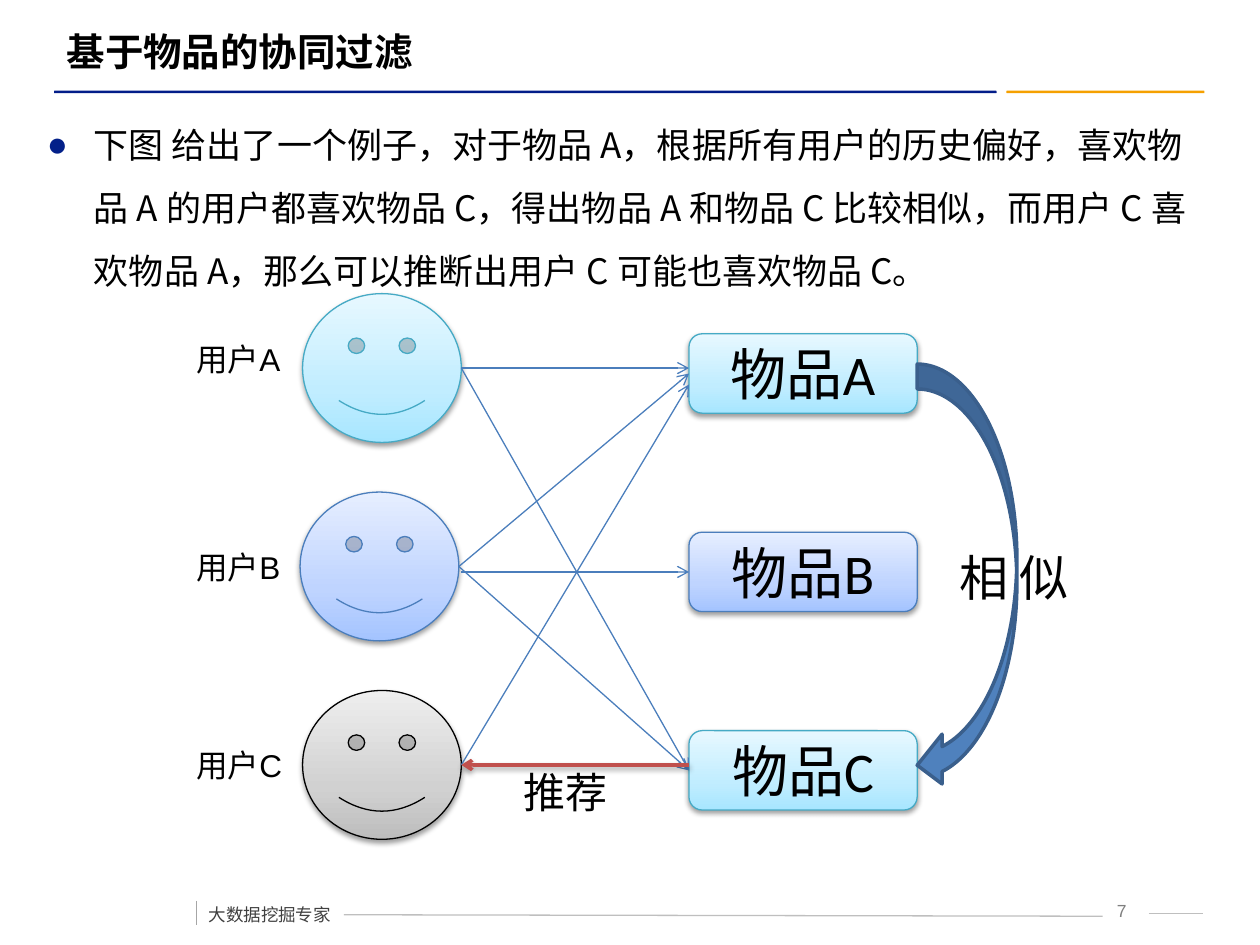
import lxml.etree
import pptx
import pptx.dml.color
import pptx.enum.shapes
import pptx.enum.text
import pptx.oxml.ns
import pptx.util

Cm = pptx.util.Cm
Pt = pptx.util.Pt
qn = pptx.oxml.ns.qn
SHAPES = pptx.enum.shapes.MSO_SHAPE
ALIGN = pptx.enum.text.PP_ALIGN
ANCHOR = pptx.enum.text.MSO_ANCHOR
AUTO_SIZE = pptx.enum.text.MSO_AUTO_SIZE

CJK_FONT = "Noto Sans CJK SC"
COLOURS = {
    "text": "000000", "footer": "404040", "number": "7F7F7F",
    "navy": "031D89", "orange": "F5A000", "bullet": "032089",
    "rule": "BFBFBF", "divider": "A6A6A6",
    "link": "4B7EBC", "recommend": "C0504D",
    "arrow": "4F81BD", "arrow_edge": "3A5F8C",
}
# Gradient stops from bottom to top, then the outline
STYLES = {
    "cyan": (("A7E6FF", "C1EDFF", "E7F8FF"), "46AAC5"),
    "blue": (("A4C4FF", "BFD4FF", "E6EEFF"), "4B7EBC"),
    "grey": (("BDBDBD", "D1D1D1", "EEEEEE"), "000000"),
}
STOP_POSITIONS = (0, 35000, 100000)
ROW_PITCH = 4.0
ITEM_LEFT, ITEM_TOP, ITEM_WIDTH, ITEM_HEIGHT = 13.89, 6.73, 4.6, 1.6
FACE_TOP, FACE_WIDTH, FACE_HEIGHT = 5.92, 3.2, 3.0


def rgb(hex_string):
    return pptx.dml.color.RGBColor.from_string(hex_string)


def add_element(parent, tag, **attributes):
    child = lxml.etree.SubElement(parent, qn(tag))
    for name, value in attributes.items():
        child.set(name, str(value))
    return child


def add_colour(parent, hex_string):
    return add_element(parent, "a:srgbClr", val=hex_string)


def format_text(paragraph, size, colour="text", font="Arial", bold=False):
    for run in paragraph.runs:
        run.font.size = Pt(size)
        run.font.name = font
        run.font.bold = bold
        run.font.color.rgb = rgb(COLOURS[colour])
        add_element(run.font._element, "a:ea", typeface=CJK_FONT)


def place(shape, left, top, width, height):
    shape.left, shape.top = Cm(left), Cm(top)
    shape.width, shape.height = Cm(width), Cm(height)


def add_shadow(effect_list):
    shadow = add_element(effect_list, "a:outerShdw", blurRad=40000, dist=20000,
                         dir=5400000, rotWithShape=0)
    add_element(add_colour(shadow, "000000"), "a:alpha", val=38000)


def add_plain_shape(slide, kind, box, fill, line=None, width=0.75):
    shape = slide.shapes.add_shape(kind, *map(Cm, box))
    shape.shadow.inherit = False
    shape.fill.solid()
    shape.fill.fore_color.rgb = rgb(fill)
    if line:
        shape.line.color.rgb = rgb(line)
        shape.line.width = Pt(width)
    else:
        shape.line.fill.background()
    return shape


def add_glossy_shape(slide, kind, box, style):
    """Add a shape with a three-stop upward gradient and a soft shadow."""
    stops, outline = STYLES[style]
    shape = add_plain_shape(slide, kind, box, stops[0], outline)
    shape.fill.gradient()
    shape.fill.gradient_angle = 90
    properties = shape.element.spPr
    stop_list = properties.find(qn("a:gradFill")).find(qn("a:gsLst"))
    for stop in list(stop_list):
        stop_list.remove(stop)
    for position, colour in zip(STOP_POSITIONS, stops):
        add_colour(add_element(stop_list, "a:gs", pos=position), colour)
    add_shadow(properties.find(qn("a:effectLst")))
    return shape


def add_item(slide, row, name, style):
    box = (ITEM_LEFT, ITEM_TOP + row * ROW_PITCH, ITEM_WIDTH, ITEM_HEIGHT)
    item = add_glossy_shape(slide, SHAPES.ROUNDED_RECTANGLE, box, style)
    item.text_frame.text = name
    item.text_frame.vertical_anchor = ANCHOR.MIDDLE
    paragraph = item.text_frame.paragraphs[0]
    paragraph.alignment = ALIGN.CENTER
    format_text(paragraph, 32, font="Calibri")
    return item


def add_label(slide, text, box, size, colour="text", font="Arial", wrap=True):
    label = slide.shapes.add_textbox(*map(Cm, box))
    label.text_frame.word_wrap = wrap
    label.text_frame.auto_size = AUTO_SIZE.SHAPE_TO_FIT_TEXT
    label.text_frame.text = text
    paragraph = label.text_frame.paragraphs[0]
    format_text(paragraph, size, colour, font)
    return paragraph


def add_line(slide, start, end, colour, width=0.75, arrow=False, shadow=False):
    line = slide.shapes.add_connector(
        pptx.enum.shapes.MSO_CONNECTOR.STRAIGHT, *map(Cm, start + end))
    line.line.color.rgb = rgb(COLOURS[colour])
    line.line.width = Pt(width)
    properties = line.element.spPr
    if arrow:
        add_element(properties.find(qn("a:ln")), "a:tailEnd", type="arrow")
    effect_list = add_element(properties, "a:effectLst")
    if shadow:
        add_shadow(effect_list)
    return line


def fill_title(slide):
    title = slide.shapes.title
    place(title, 1.09, 0.43, 23.11, 1.19)
    title.text_frame.text = "基于物品的协同过滤"
    title.text_frame.auto_size = AUTO_SIZE.NONE
    title.text_frame.vertical_anchor = ANCHOR.MIDDLE
    paragraph = title.text_frame.paragraphs[0]
    paragraph.alignment = ALIGN.LEFT
    format_text(paragraph, 22, bold=True)


def fill_body(slide):
    body = slide.placeholders[1]
    place(body, 0.69, 1.93, 23.6, 4.01)
    body.text_frame.text = (
        "下图 给出了一个例子，对于物品 A，根据所有用户的历史偏好，"
        "喜欢物品 A 的用户都喜欢物品 C，得出物品 A 和物品 C 比较相似，"
        "而用户 C 喜欢物品 A，那么可以推断出用户 C 可能也喜欢物品 C。")
    body.text_frame.auto_size = AUTO_SIZE.NONE
    paragraph = body.text_frame.paragraphs[0]
    paragraph.line_spacing = 1.5
    paragraph.space_before = Pt(0)
    properties = paragraph._p.get_or_add_pPr()
    properties.set("marL", str(Cm(0.95)))
    properties.set("indent", str(-Cm(0.95)))
    add_colour(add_element(properties, "a:buClr"), COLOURS["bullet"])
    add_element(properties, "a:buFont", typeface="Arial")
    add_element(properties, "a:buChar", char="●")
    format_text(paragraph, 20, font=CJK_FONT)


def add_frame(slide):
    """Add the bars under the title and the footer."""
    for left, width, colour in ((20.29, 3.99, "orange"), (1.09, 19, "navy")):
        add_plain_shape(slide, SHAPES.ROUNDED_RECTANGLE,
                        (left, 1.83, width, 0.05), COLOURS[colour])
    number = add_label(slide, "7", (22.02, 18.01, 1.19, 0.64), 10, "number")
    number.alignment = ALIGN.CENTER
    add_line(slide, (6.93, 18.44), (22.23, 18.47), "rule")
    add_line(slide, (23.16, 18.42), (24.26, 18.42), "rule")
    add_line(slide, (3.96, 18.16), (3.96, 18.64), "divider")
    footer = add_label(slide, "大数据挖掘专家", (3.96, 17.88, 3, 0.89), 10,
                       "footer", CJK_FONT, wrap=False)
    footer.line_spacing = 1.5


def add_diagram(slide):
    items, face_sides = {}, {}
    rows = (("A", "cyan", "cyan", 6.1, 6.73),
            ("B", "blue", "blue", 6.05, 10.92),
            ("C", "grey", "cyan", 6.1, 14.91))
    for row, (name, face_style, item_style, left, label_top) in enumerate(rows):
        top = FACE_TOP + row * ROW_PITCH
        add_glossy_shape(slide, SHAPES.SMILEY_FACE,
                         (left, top, FACE_WIDTH, FACE_HEIGHT), face_style)
        face_sides[name] = (left + FACE_WIDTH, top + FACE_HEIGHT / 2)
        add_label(slide, "用户" + name, (3.71, label_top, 2.59, 1.02), 18)
        items[name] = add_item(slide, row, "物品" + name, item_style)

    item_b_middle = ITEM_TOP + ROW_PITCH + ITEM_HEIGHT / 2
    glued_links = (((9.3, item_b_middle), "B"), (face_sides["B"], "A"),
                   (face_sides["B"], "C"), (face_sides["A"], "C"))
    for start, name in glued_links:
        link = add_line(slide, start, (ITEM_LEFT, start[1]), "link", arrow=True)
        link.end_connect(items[name], 1)
    for name, end_y in (("A", face_sides["A"][1]), ("C", 7.75)):
        add_line(slide, face_sides[name], (ITEM_LEFT, end_y), "link", arrow=True)

    add_plain_shape(slide, SHAPES.CURVED_LEFT_ARROW, (18.49, 7.34, 2.01, 8.59),
                    COLOURS["arrow"], COLOURS["arrow_edge"], 2)
    add_label(slide, "相 似", (19.1, 10.92, 3.2, 1.45), 28)
    add_line(slide, (ITEM_LEFT, face_sides["C"][1]), face_sides["C"],
             "recommend", 2, arrow=True, shadow=True)
    add_label(slide, "推荐", (10.31, 15.32, 2.39, 1.3), 24)


def main():
    presentation = pptx.Presentation()
    presentation.slide_width, presentation.slide_height = Cm(25.4), Cm(19.05)
    slide = presentation.slides.add_slide(presentation.slide_layouts[1])
    add_frame(slide)
    fill_title(slide)
    fill_body(slide)
    add_diagram(slide)
    presentation.save("out.pptx")


if __name__ == "__main__":
    main()
